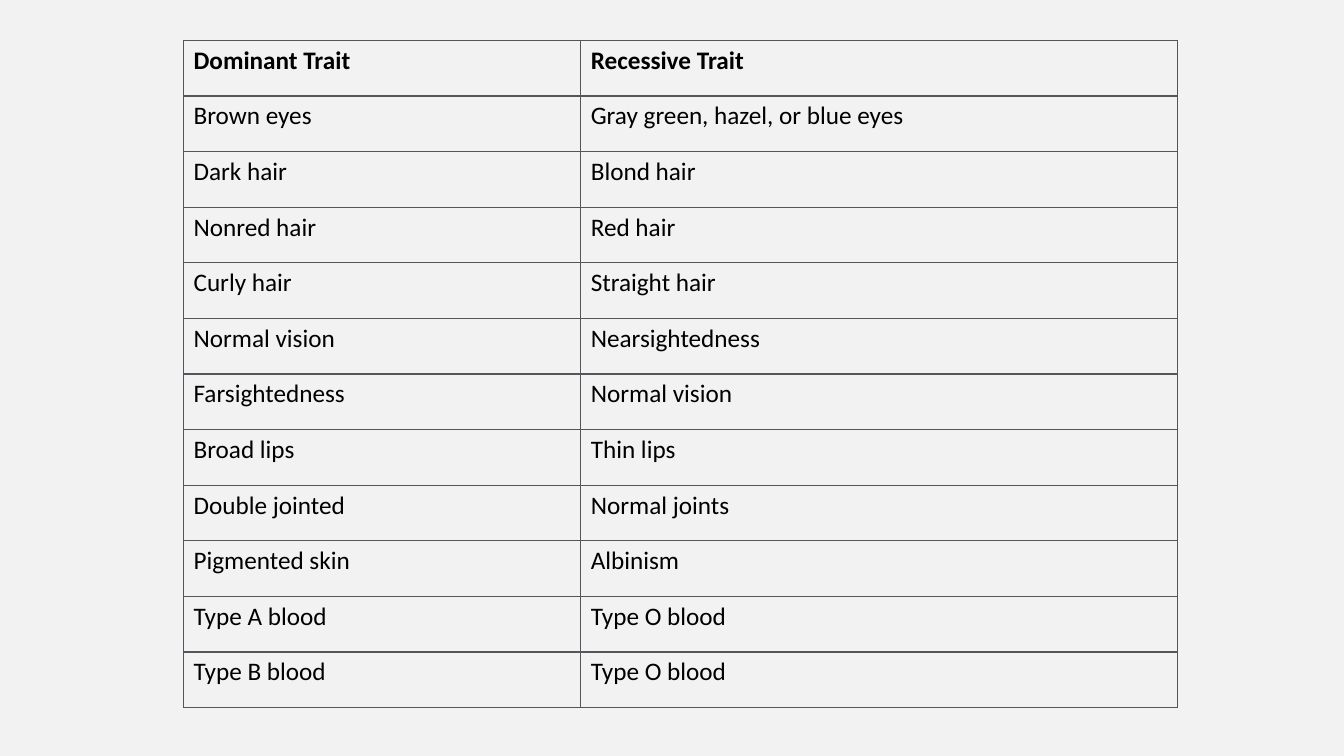
from lxml.etree import SubElement
from pptx import Presentation
from pptx.dml.color import RGBColor
from pptx.oxml.ns import qn
from pptx.util import Inches, Pt

BACKGROUND = "F2F2F2"
BORDER = "53565A"
TEXT = "000000"

TRAITS = [
    ("Dominant Trait", "Recessive Trait"),
    ("Brown eyes", "Gray green, hazel, or blue eyes"),
    ("Dark hair", "Blond hair"),
    ("Nonred hair", "Red hair"),
    ("Curly hair", "Straight hair"),
    ("Normal vision", "Nearsightedness"),
    ("Farsightedness", "Normal vision"),
    ("Broad lips", "Thin lips"),
    ("Double jointed", "Normal joints"),
    ("Pigmented skin", "Albinism"),
    ("Type A blood", "Type O blood"),
    ("Type B blood", "Type O blood"),
]
COLUMN_WIDTHS = [3.94, 5.92]
TABLE_HEIGHT = 6.62


def color(hex_value):
    return RGBColor.from_string(hex_value)


def add_borders(cell):
    properties = cell._tc.get_or_add_tcPr()
    for side in ("a:lnL", "a:lnR", "a:lnT", "a:lnB"):
        line = SubElement(properties, qn(side), w=str(Pt(1)))
        fill = SubElement(line, qn("a:solidFill"))
        SubElement(fill, qn("a:srgbClr"), val=BORDER)


# Slide and background
presentation = Presentation()
presentation.slide_width = Inches(13.33)
presentation.slide_height = Inches(7.5)
slide = presentation.slides.add_slide(presentation.slide_layouts[6])
slide.background.fill.solid()
slide.background.fill.fore_color.rgb = color(BACKGROUND)

# Trait table
table = slide.shapes.add_table(
    len(TRAITS), len(COLUMN_WIDTHS), Inches(1.82), Inches(0.4),
    Inches(sum(COLUMN_WIDTHS)), Inches(TABLE_HEIGHT),
).table
table.horz_banding = False
for column, width in zip(table.columns, COLUMN_WIDTHS):
    column.width = Inches(width)

# Cells, with the header row in bold
for row_index, traits in enumerate(TRAITS):
    table.rows[row_index].height = Inches(TABLE_HEIGHT / len(TRAITS))
    text_format = {"name": "Calibri", "size": Pt(18), "bold": row_index == 0}
    for column_index, trait in enumerate(traits):
        cell = table.cell(row_index, column_index)
        add_borders(cell)
        cell.fill.background()
        cell.text = trait
        font = cell.text_frame.paragraphs[0].runs[0].font
        for attribute, value in text_format.items():
            setattr(font, attribute, value)
        font.color.rgb = color(TEXT)

presentation.save("out.pptx")
